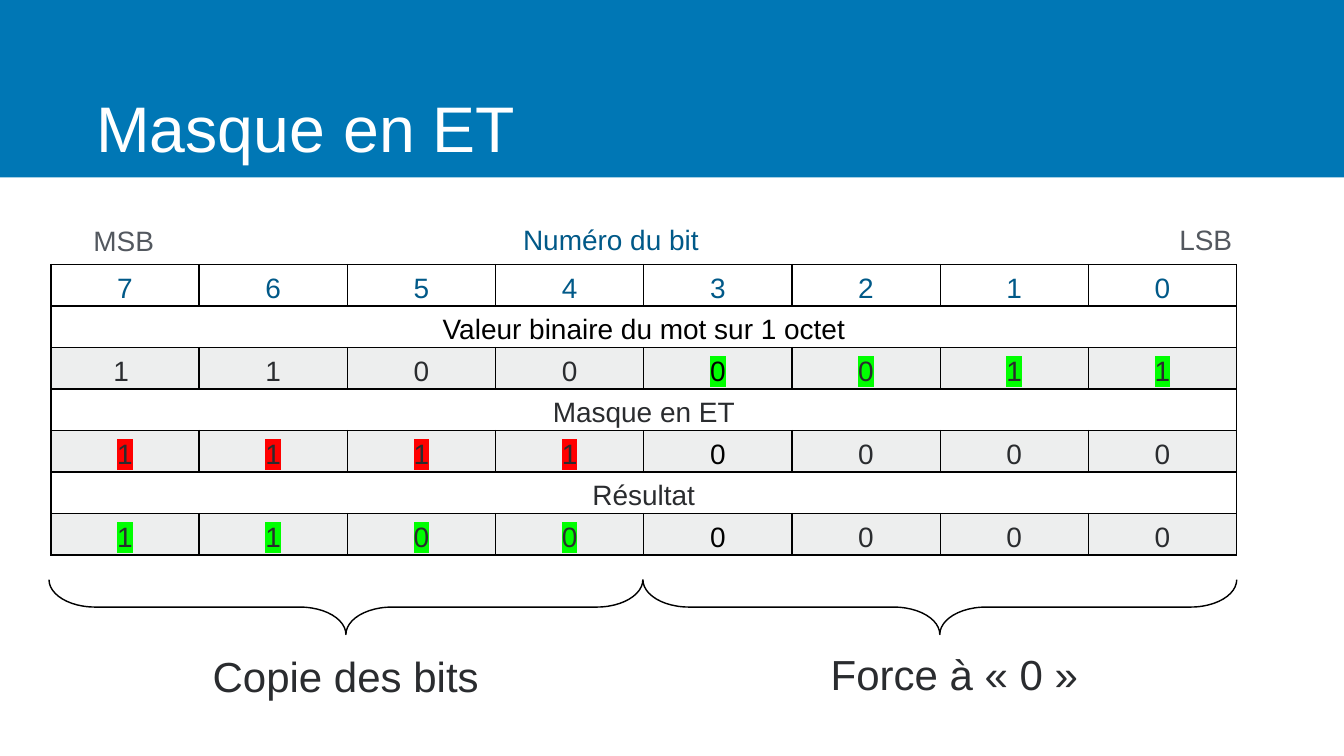
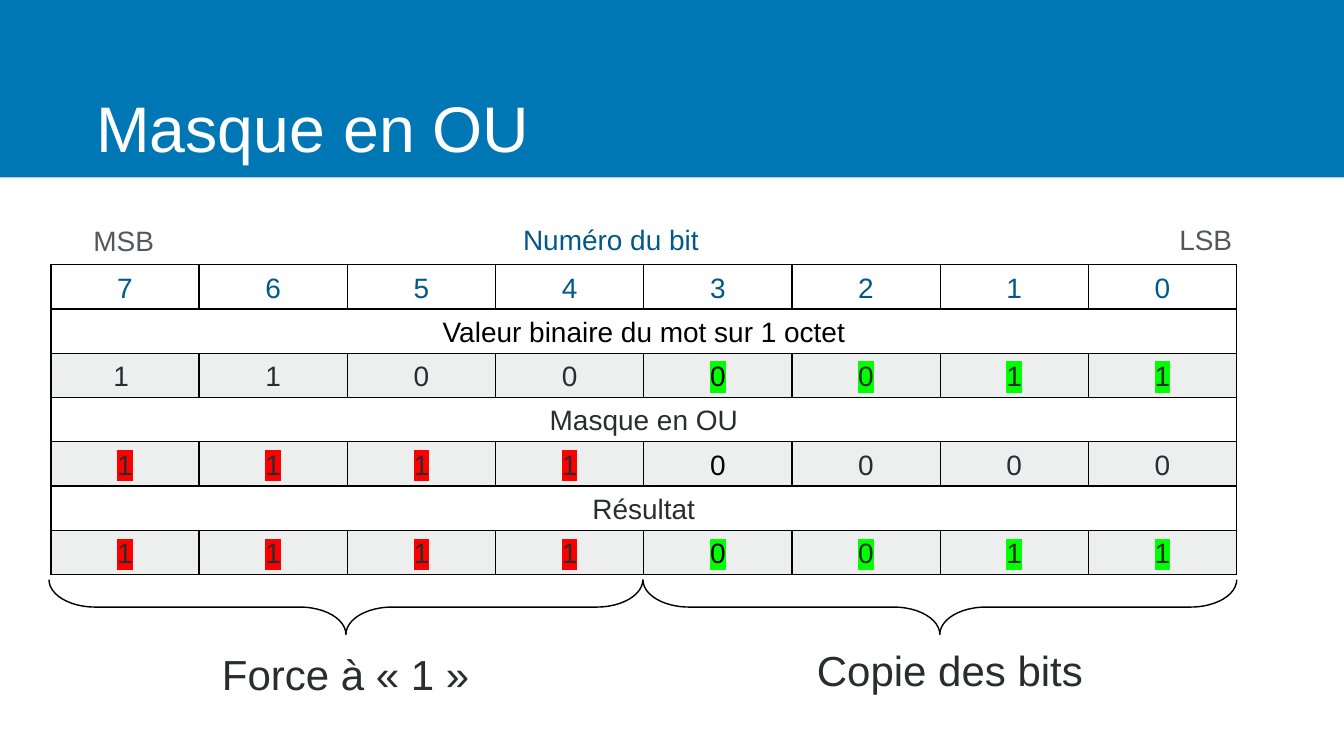
"""Build two slides that explain AND and OR bit masks."""
from dataclasses import dataclass

from lxml.etree import SubElement
from pptx import Presentation
from pptx.dml.color import RGBColor
from pptx.enum.shapes import MSO_SHAPE
from pptx.enum.text import MSO_ANCHOR, MSO_AUTO_SIZE, PP_ALIGN
from pptx.oxml.ns import qn
from pptx.util import Pt

BIT_NUMBERS = "76543210"
WORD_LABEL = "Valeur binaire du mot sur 1 octet"
RESULT_LABEL = "Résultat"
WORD = (["1 ", *"1000011"], "----gggg")
MASK = ("11110000", "rrrr----")

SLIDES = [
    {
        "title": "Masque en ET",
        "result": ("11000000", "gggg----"),
        "captions": [("Copie des bits", 150.5, 909.4), ("Force à « 0 »", 1020.2, 905.8)],
    },
    {
        "title": "Masque en OU",
        "result": ("11110011", "rrrrgggg"),
        "captions": [("Force à « 1 »", 150.5, 905.8), ("Copie des bits", 1013.8, 900)],
    },
]


@dataclass(frozen=True)
class Theme:
    font: str = "Arial"
    band: str = "0077B5"
    white: str = "FFFFFF"
    heading: str = "005988"
    muted: str = "53585F"
    ink: str = "2A2C2F"
    black: str = "000000"
    value_fill: str = "C5C7C9"
    value_opacity: int = 30000
    copied: str = "00FF00"
    forced: str = "FF0000"
    title_size: int = 92
    caption_size: int = 60
    body_size: int = 40
    line_width: int = 2
    line_spacing: float = 1.2


THEME = Theme()
HIGHLIGHTS = {"g": THEME.copied, "r": THEME.forced, "-": None}

SLIDE_WIDTH, SLIDE_HEIGHT = 1920.24, 1080
BAND_HEIGHT = 253.4
TITLE_BOX = (131.8, 90, 1645.2, 151.9)
TABLE_BOX = (72.7, 378, 1694.2, 453.6)
ROW_HEIGHT = 29.5
CAPTION_WIDTH, CAPTION_HEIGHT = 686.9, 98.6
BRACE_THICKNESS, BRACE_SPAN = 78.5, 848.5
BRACE_LEFT, BRACE_MIDDLE = 70, 867.2
BRACE_CURVE = 0.839
TABLE_LABELS = [
    ("Numéro du bit", THEME.heading, (578.2, 302.4, 589, 69.8)),
    ("MSB", THEME.muted, (72.7, 303.1, 208.1, 69.8)),
    ("LSB", THEME.muted, (1618.6, 302.4, 208.1, 69.8)),
]

TEXT_FRAME_FORMAT = {
    "word_wrap": True,
    **{f"margin_{side}": Pt(5.76) for side in ("left", "right", "top", "bottom")},
}
LABEL_FORMAT = {
    **TEXT_FRAME_FORMAT,
    "vertical_anchor": MSO_ANCHOR.MIDDLE,
    "auto_size": MSO_AUTO_SIZE.SHAPE_TO_FIT_TEXT,
}
TITLE_FORMAT = {**TEXT_FRAME_FORMAT, "vertical_anchor": MSO_ANCHOR.BOTTOM}
CELL_FORMAT = {"margin_top": Pt(2.85), "margin_bottom": Pt(2.85)}
TABLE_FORMAT = {"first_row": False, "horz_banding": False}


def apply_format(target, values):
    for name, value in values.items():
        setattr(target, name, value)


def points(box):
    return [Pt(length) for length in box]


def write_text(text_frame, text, size, color, alignment=PP_ALIGN.CENTER, highlight=None):
    paragraph = text_frame.paragraphs[0]
    apply_format(paragraph, {"alignment": alignment, "line_spacing": THEME.line_spacing})
    run = paragraph.add_run()
    run.text = text
    apply_format(run.font, {"size": Pt(size), "name": THEME.font})
    run.font.color.rgb = RGBColor.from_string(color)
    if highlight:
        properties = run.font._element
        mark = SubElement(properties, qn("a:highlight"))
        SubElement(mark, qn("a:srgbClr"), val=highlight)
        properties.find(qn("a:solidFill")).addnext(mark)


def add_text(slide, box, text, size, color, frame_format=LABEL_FORMAT, alignment=PP_ALIGN.CENTER):
    text_frame = slide.shapes.add_textbox(*points(box)).text_frame
    apply_format(text_frame, frame_format)
    write_text(text_frame, text, size, color, alignment)


def add_band(slide):
    band = slide.shapes.add_shape(MSO_SHAPE.RECTANGLE, *points((0, 0, SLIDE_WIDTH, BAND_HEIGHT)))
    band.shadow.inherit = False
    band.fill.solid()
    band.fill.fore_color.rgb = RGBColor.from_string(THEME.band)
    band.line.fill.background()


def add_brace(slide, index):
    center = BRACE_LEFT + (index + 0.5) * BRACE_SPAN
    box = (center - BRACE_THICKNESS / 2, BRACE_MIDDLE - BRACE_SPAN / 2, BRACE_THICKNESS, BRACE_SPAN)
    brace = slide.shapes.add_shape(MSO_SHAPE.LEFT_BRACE, *points(box))
    brace.rotation = 270
    brace.adjustments[0] = BRACE_CURVE
    brace.shadow.inherit = False
    brace.fill.background()
    brace.line.color.rgb = RGBColor.from_string(THEME.black)
    brace.line.width = Pt(THEME.line_width)


def style_cell(cell, shaded):
    apply_format(cell, CELL_FORMAT)
    properties = cell._tc.get_or_add_tcPr()
    if shaded:
        cell.fill.solid()
        cell.fill.fore_color.rgb = RGBColor.from_string(THEME.value_fill)
        color = properties.find(qn("a:solidFill"))[0]
        SubElement(color, qn("a:alpha"), val=str(THEME.value_opacity))
    else:
        cell.fill.background()
    for position, side in enumerate(("lnL", "lnR", "lnT", "lnB")):
        border = SubElement(properties, qn(f"a:{side}"), w=str(Pt(THEME.line_width)))
        SubElement(SubElement(border, qn("a:solidFill")), qn("a:srgbClr"), val=THEME.black)
        properties.insert(position, border)


def add_bit_table(slide, content):
    groups = [
        (WORD_LABEL, THEME.black, WORD),
        (content["title"], THEME.ink, MASK),
        (RESULT_LABEL, THEME.ink, content["result"]),
    ]
    frame = slide.shapes.add_table(1 + 2 * len(groups), len(BIT_NUMBERS), *points(TABLE_BOX))
    table = frame.table
    apply_format(table, TABLE_FORMAT)
    for index, row in enumerate(table.rows):
        row.height = Pt(ROW_HEIGHT)
        for cell in row.cells:
            style_cell(cell, shaded=index > 0 and index % 2 == 0)
    frame.height = Pt(TABLE_BOX[3])

    for column, number in enumerate(BIT_NUMBERS):
        write_text(table.cell(0, column).text_frame, number, THEME.body_size, THEME.heading)
    for index, (label, label_color, (bits, marks)) in enumerate(groups):
        label_row = 1 + 2 * index
        label_cell = table.cell(label_row, 0)
        label_cell.merge(table.cell(label_row, len(BIT_NUMBERS) - 1))
        write_text(label_cell.text_frame, label, THEME.body_size, label_color)
        for column, (bit, mark) in enumerate(zip(bits, marks)):
            color = THEME.black if column == len(BIT_NUMBERS) // 2 else THEME.ink
            write_text(table.cell(label_row + 1, column).text_frame, bit, THEME.body_size,
                       color, highlight=HIGHLIGHTS[mark])


def add_mask_slide(presentation, content):
    slide = presentation.slides.add_slide(presentation.slide_layouts[6])
    add_band(slide)
    add_bit_table(slide, content)
    for text, color, box in TABLE_LABELS:
        add_text(slide, box, text, THEME.body_size, color)
    for index, (text, left, top) in enumerate(content["captions"]):
        add_brace(slide, index)
        box = (left, top, CAPTION_WIDTH, CAPTION_HEIGHT)
        add_text(slide, box, text, THEME.caption_size, THEME.ink)
    add_text(slide, TITLE_BOX, content["title"], THEME.title_size, THEME.white,
             TITLE_FORMAT, PP_ALIGN.LEFT)


def main():
    presentation = Presentation()
    apply_format(presentation, {"slide_width": Pt(SLIDE_WIDTH), "slide_height": Pt(SLIDE_HEIGHT)})
    for content in SLIDES:
        add_mask_slide(presentation, content)
    presentation.save("out.pptx")


if __name__ == "__main__":
    main()
